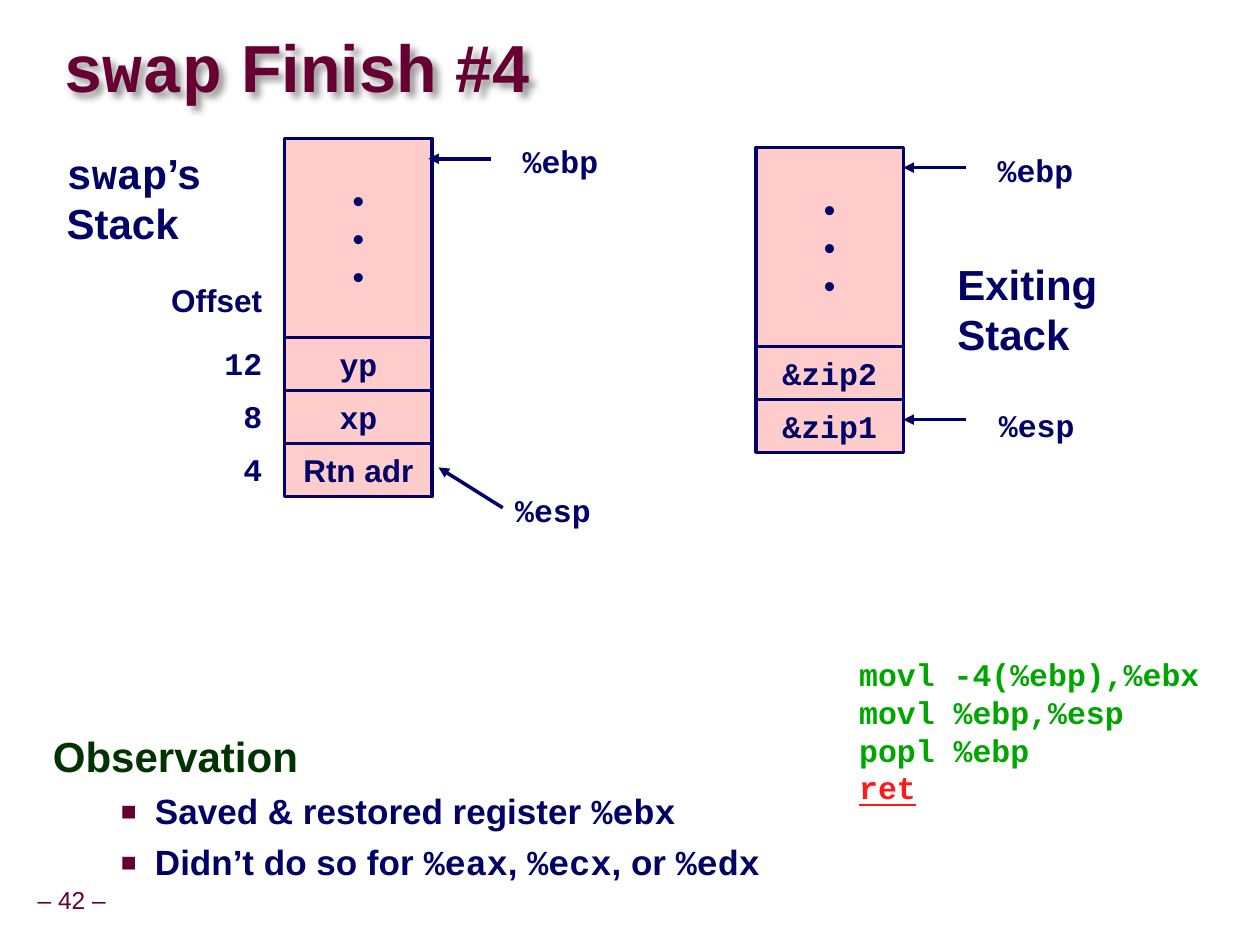
"""Build the slide on the stack at the end of swap."""
from dataclasses import dataclass

from lxml import etree
from pptx import Presentation, util as u
from pptx.dml.color import RGBColor
from pptx.enum import shapes, text
from pptx.oxml import ns

HUES = {"navy": "000066", "wine": "660033", "pink": "FFCCCC",
        "leaf": "00A600", "red": "FF1A1A", "pine": "003300"}
SANS, MONO = "Arial", "Courier New"
WIDE, TALL, ROW = 1.17, 1.58, 0.42
LEFT, MID, RIGHT = text.PP_ALIGN.LEFT, text.PP_ALIGN.CENTER, text.PP_ALIGN.RIGHT


@dataclass
class Stack:
    left: float
    top: float
    cells: tuple[str, ...]


@dataclass
class Label:
    left: float
    top: float
    width: float
    lines: tuple[str, ...]
    size: int = 18
    align: text.PP_ALIGN = LEFT


@dataclass
class Arrow:
    start: tuple[float, float]
    end: tuple[float, float]


STACKS = (Stack(2.26, 1.1, ("`yp`", "`xp`", "Rtn adr")),
          Stack(6, 1.17, ("`&zip2`", "`&zip1`")))
LABELS = (
    Label(0.43, 1.12, 1.28, ("`swap`’s", "Stack"), 24),
    Label(7.5, 2, 1.31, ("Exiting", "Stack"), 24),
    Label(1.26, 2.18, 0.92, ("Offset",)),
    Label(4.05, 1.08, 0.8, ("`%ebp`",)),
    Label(3.99, 3.85, 0.8, ("`%esp`",)),
    Label(7.82, 1.15, 0.8, ("`%ebp`",)),
    Label(7.83, 3.17, 0.8, ("`%esp`",)),
    *(Label(1.68, 2.68 + i * ROW, 0.5, (f"`{n}`",), align=RIGHT)
      for i, n in enumerate((12, 8, 4))),
)
ARROWS = (Arrow((3.9, 1.26), (3.4, 1.26)), Arrow((3.99, 4.03), (3.48, 3.71)),
          Arrow((7.67, 1.33), (7.17, 1.33)), Arrow((7.67, 3.33), (7.17, 3.33)))


def paint(hue: str) -> RGBColor:
    """Return a named colour."""
    return RGBColor.from_string(HUES[hue])


def add(parent, tag: str, **attrs: str):
    """Append a drawing element with its attributes."""
    return etree.SubElement(parent, ns.qn(tag), attrs)


def write(frame, *lines: str, size: int = 18, hue: str = "navy", align=LEFT,
          bold: bool = True, under: bool = False, pitch: float = 1,
          before: int = 0, level: int = 0) -> list:
    """Add paragraphs, with text between backticks in the mono font."""
    pars = []
    for line in lines:
        last = frame.paragraphs[-1]
        par = frame.add_paragraph() if last.runs else last
        par.alignment, par.level = align, level
        par.line_spacing, par.space_before = pitch, u.Pt(before)
        for i, part in enumerate(line.split("`")):
            if part:
                run = par.add_run()
                run.text = part
                font = run.font
                font.name = MONO if i % 2 else SANS
                font.size, font.bold = u.Pt(size), bold
                font.color.rgb = paint(hue)
                if under:
                    font.underline = True
        pars.append(par)
    return pars


def place(shape, left: float, top: float, width: float, height: float) -> None:
    """Move and size a shape."""
    shape.left, shape.top = u.Inches(left), u.Inches(top)
    shape.width, shape.height = u.Inches(width), u.Inches(height)


def box(slide, left: float, top: float, width: float, height: float = 0.4):
    """Add a text box that does not wrap and return its frame."""
    frame = slide.shapes.add_textbox(
        *map(u.Inches, (left, top, width, height))).text_frame
    frame.word_wrap = False
    return frame


def cell(slide, left: float, top: float, height: float, *lines: str) -> None:
    """Draw one cell of a stack."""
    rect = slide.shapes.add_shape(
        shapes.MSO_SHAPE.RECTANGLE, *map(u.Inches, (left, top, WIDE, height)))
    rect.shadow.inherit = False
    rect.fill.solid()
    rect.fill.fore_color.rgb = paint("pink")
    rect.line.color.rgb = paint("navy")
    rect.line.width = u.Pt(2)
    frame = rect.text_frame
    frame.word_wrap = False
    frame.vertical_anchor = text.MSO_ANCHOR.MIDDLE
    write(frame, *lines, align=MID)


def pile(slide, stack: Stack) -> None:
    """Draw a stack: the tall cell, then its rows."""
    cell(slide, stack.left, stack.top, TALL, "•", "•", "•")
    for i, name in enumerate(stack.cells):
        cell(slide, stack.left, stack.top + TALL + i * ROW, ROW, name)


def point(slide, arrow: Arrow) -> None:
    """Draw an arrow."""
    line = slide.shapes.add_connector(
        shapes.MSO_CONNECTOR.STRAIGHT, *map(u.Inches, arrow.start + arrow.end))
    line.line.color.rgb = paint("navy")
    line.line.width = u.Pt(2)
    add(line.line._get_or_add_ln(), "a:tailEnd", type="triangle")
    add(line._element.spPr, "a:effectLst")


def head(shape) -> None:
    """Fill the title and give it a soft shadow."""
    place(shape, 0.5, 0.25, 6.32, 0.63)
    frame = shape.text_frame
    frame.margin_left = frame.margin_right = 0
    frame.margin_top = frame.margin_bottom = 0
    frame.vertical_anchor = text.MSO_ANCHOR.MIDDLE
    frame.auto_size = text.MSO_AUTO_SIZE.NONE
    write(frame, "`swap` Finish #4", size=38, hue="wine", pitch=0.87)
    cast = add(add(shape._element.spPr, "a:effectLst"), "a:outerShdw",
               blurRad="50800", dist="50800", dir="2700000")
    add(add(cast, "a:srgbClr", val="000000"), "a:alpha", val="40000")


def notes(shape) -> None:
    """Fill the body with the observation and its bullets."""
    place(shape, 0.32, 5.78, 6.27, 1.27)
    frame = shape.text_frame
    frame.auto_size = text.MSO_AUTO_SIZE.NONE
    lead, = write(frame, "Observation", size=24, hue="pine", pitch=0.95)
    props = lead._p.get_or_add_pPr()
    props.set("marL", "0")
    props.set("indent", "0")
    add(props, "a:buNone")
    for par in write(frame, "Saved & restored register `%ebx`",
                     "Didn’t do so for `%eax`, `%ecx`, or `%edx`",
                     size=20, pitch=0.95, before=6, level=1):
        props = par._p.get_or_add_pPr()
        props.set("marL", str(u.Inches(0.81)))
        props.set("indent", str(u.Inches(-0.27)))
        add(add(props, "a:buClr"), "a:srgbClr", val=HUES["wine"])
        add(props, "a:buSzPct", val="75000")
        add(props, "a:buFont", typeface=SANS)
        add(props, "a:buChar", char="■")


def main() -> None:
    """Build and save the slide."""
    deck = Presentation()
    deck.slide_width, deck.slide_height = u.Inches(10), u.Inches(7.5)
    slide = deck.slides.add_slide(deck.slide_layouts[1])
    head(slide.shapes.title)
    notes(slide.placeholders[1])
    for stack in STACKS:
        pile(slide, stack)
    for arrow in ARROWS:
        point(slide, arrow)
    for tag in LABELS:
        write(box(slide, tag.left, tag.top, tag.width, 0.4 * len(tag.lines)),
              *tag.lines, size=tag.size, align=tag.align)
    code = box(slide, 6.72, 5.15, 2.92, 1.3)
    write(code, "`movl -4(%ebp),%ebx`", "`movl %ebp,%esp`", "`popl %ebp`",
          hue="leaf")
    write(code, "`ret`", hue="red", under=True)
    write(box(slide, 0.12, 7, 0.9, 0.31), "– 42 –", size=14, hue="wine",
          align=MID, bold=False, pitch=0.9)
    deck.save("out.pptx")


if __name__ == "__main__":
    main()
